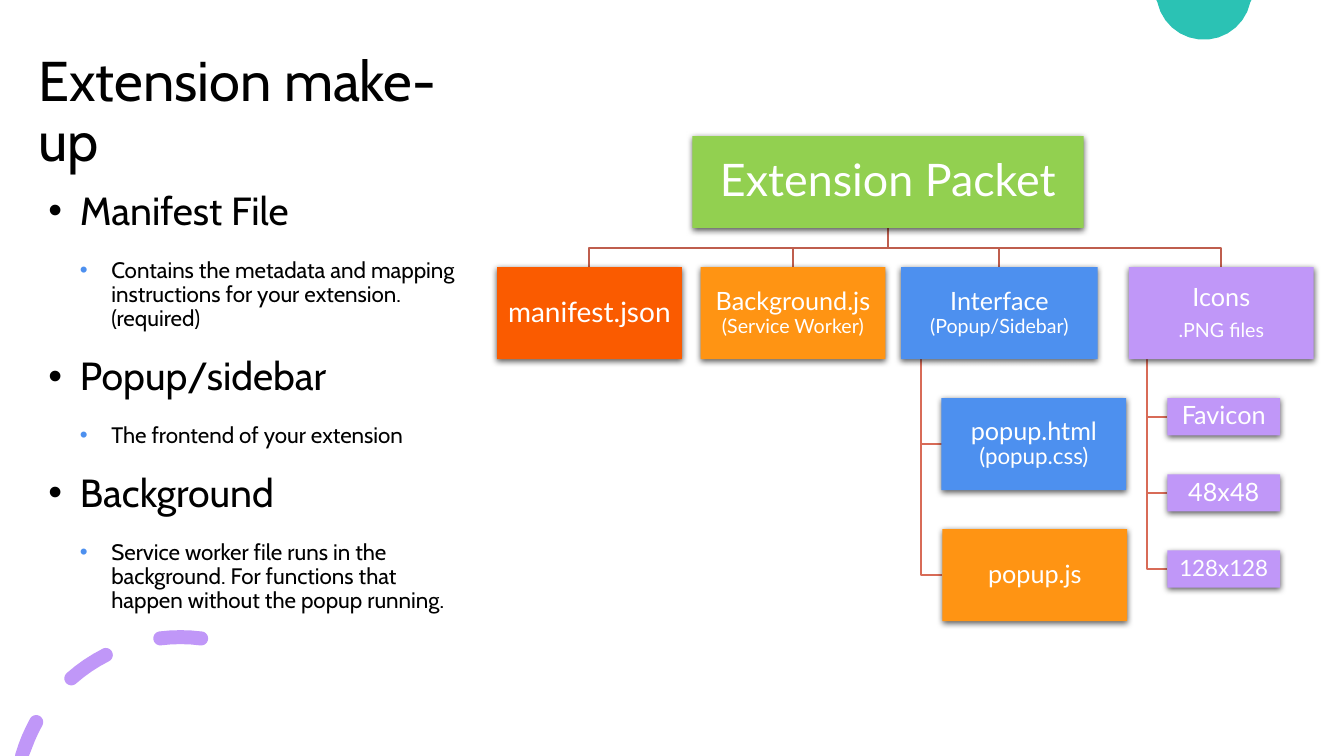
"""Build the slide that explains which files make up a browser extension."""
from dataclasses import dataclass
from math import cos, radians, sin

from lxml.etree import SubElement
from pptx import Presentation
from pptx.dml.color import RGBColor
from pptx.enum.shapes import MSO_SHAPE
from pptx.enum.text import MSO_ANCHOR, MSO_AUTO_SIZE, PP_ALIGN
from pptx.oxml.ns import qn
from pptx.util import Pt

Point = tuple[float, float]
Run = tuple[str, int]

SLIDE_WIDTH, SLIDE_HEIGHT = 960, 540
TOP, ROW_PITCH, BOX_HEIGHT, BOX_WIDTH = 97.2, 93.6, 65.7, 132
ICON_PITCH, ICON_HEIGHT, ICON_WIDTH, ICON_LEFT = 54.4, 26.6, 80.6, 833.8
GREEN, RED, ORANGE, BLUE, PURPLE = "92D050", "FA5B00", "FF9413", "4D90EF", "C097F8"
BLACK, WHITE, TEAL = "000000", "FFFFFF", "2BC2B4"
BUS_COLOR, BRANCH_COLOR = "BF5E4D", "D86B57"
BODY_FONT, CHART_FONT = "Cabin", "Lato"


@dataclass(frozen=True)
class Box:
    left: float
    top: float
    color: str
    paragraphs: tuple[tuple[Run, ...], ...]
    width: float = BOX_WIDTH
    height: float = BOX_HEIGHT
    inset: float = 0.7

    @property
    def center(self) -> float:
        return self.left + self.width / 2

    @property
    def middle(self) -> float:
        return self.top + self.height / 2

    @property
    def bottom(self) -> float:
        return self.top + self.height


@dataclass(frozen=True)
class Topic:
    heading: str
    detail: str


def row_top(row: int) -> float:
    return TOP + row * ROW_PITCH


PACKET = Box(494.6, row_top(0), GREEN, ((("Extension Packet", 32),),), 279.4, inset=1.4)
MANIFEST = Box(355, row_top(1), RED, ((("manifest.json", 20),),))
BACKGROUND = Box(500.4, row_top(1), ORANGE, ((("Background.js ", 18), ("(Service Worker)", 14)),))
INTERFACE = Box(643.7, row_top(1), BLUE, ((("Interface ", 18), ("(Popup/Sidebar)", 14)),), 140.4)
ICONS = Box(806.4, row_top(1), PURPLE, ((("Icons", 18),), ((".PNG files", 14),)))
POPUP_FILES = [
    Box(672.5, row_top(2), BLUE, ((("popup.html ", 18), ("(popup.css)", 16)),)),
    Box(673.2, row_top(3), ORANGE, ((("popup.js", 18),),)),
]
ICON_FILES = [
    Box(ICON_LEFT, row_top(2) + i * ICON_PITCH, PURPLE, ((label,),), ICON_WIDTH, ICON_HEIGHT)
    for i, label in enumerate([("Favicon", 18), ("48x48", 18), ("128x128", 16)])
]
PARTS = [MANIFEST, BACKGROUND, INTERFACE, ICONS]
BRANCHES = [(ICONS, ICON_FILES), (INTERFACE, POPUP_FILES)]

TOPICS = [
    Topic("Manifest File",
          "Contains the metadata and mapping instructions for your extension. (required)"),
    Topic("Popup/sidebar", "The frontend of your extension"),
    Topic("Background",
          "Service worker file runs in the background. "
          "For functions that happen without the popup running."),
]

RING_CENTER, RING_RADIUS, DASH_RADIUS = (128.9, 572.9), 117.8, 5
DASH_ANGLES = [(-73.7, -61), (-41.4, -26.9), (-7, 7.2)]
DISC_CENTER, DISC_RADIUS = (859.9, -5.6), 34


def rgb(color: str) -> RGBColor:
    return RGBColor.from_string(color)


def add_run(paragraph, text: str, size: float, font: str, color: str) -> None:
    run = paragraph.add_run()
    run.text = text
    run.font.size = Pt(size)
    run.font.name = font
    run.font.color.rgb = rgb(color)


def next_paragraph(frame, index: int):
    paragraph = frame.add_paragraph() if index else frame.paragraphs[0]
    paragraph.line_spacing = 0.9
    return paragraph


def on_circle(center: Point, radius: float, angle: float) -> Point:
    turn = radians(angle)
    return center[0] + radius * sin(turn), center[1] - radius * cos(turn)


def arc(center: Point, radius: float, start: float, end: float) -> list[Point]:
    """Return points along an arc, with angles in degrees clockwise from the top."""
    steps = max(4, round(abs(end - start) / 12))
    return [on_circle(center, radius, start + (end - start) * i / steps)
            for i in range(steps + 1)]


def dash_outline(start: float, end: float) -> list[Point]:
    """Return the outline of a round-ended dash lying on the ring."""
    head, tail = (on_circle(RING_CENTER, RING_RADIUS, angle) for angle in (end, start))
    return (arc(RING_CENTER, RING_RADIUS + DASH_RADIUS, start, end)
            + arc(head, DASH_RADIUS, end, end + 180)
            + arc(RING_CENTER, RING_RADIUS - DASH_RADIUS, end, start)
            + arc(tail, DASH_RADIUS, start + 180, start + 360))


def add_outline(slide, contours: list[list[Point]], close: bool):
    scaled = [[(Pt(x), Pt(y)) for x, y in contour] for contour in contours]
    builder = slide.shapes.build_freeform(*scaled[0][0])
    for index, contour in enumerate(scaled):
        if index:
            builder.move_to(*contour[0])
        builder.add_line_segments(contour[1:], close=close)
    shape = builder.convert_to_shape()
    shape.shadow.inherit = False
    return shape


def add_decoration(slide, contours: list[list[Point]], color: str) -> None:
    """Fill the contours, cut off at the top and bottom of the slide."""
    visible = [[(x, min(max(y, 0), SLIDE_HEIGHT)) for x, y in contour] for contour in contours]
    shape = add_outline(slide, visible, close=True)
    shape.fill.solid()
    shape.fill.fore_color.rgb = rgb(color)
    shape.line.fill.background()


def add_branch(slide, points: list[Point], color: str) -> None:
    shape = add_outline(slide, [points], close=False)
    shape.fill.background()
    shape.line.color.rgb = rgb(color)
    shape.line.width = Pt(1.5)


def add_shadow(shape) -> None:
    shape.shadow.inherit = False
    effects = shape.element.spPr.find(qn("a:effectLst"))
    shadow = SubElement(effects, qn("a:outerShdw"), blurRad=str(Pt(4.5)), dist=str(Pt(1.5)),
                        dir="5400000", algn="ctr", rotWithShape="0")
    SubElement(SubElement(shadow, qn("a:srgbClr"), val=BLACK), qn("a:alpha"), val="63000")


def add_box(slide, box: Box) -> None:
    shape = slide.shapes.add_shape(MSO_SHAPE.RECTANGLE, Pt(box.left), Pt(box.top),
                                   Pt(box.width), Pt(box.height))
    shape.fill.solid()
    shape.fill.fore_color.rgb = rgb(box.color)
    shape.line.fill.background()
    add_shadow(shape)
    frame = shape.text_frame
    frame.word_wrap = True
    frame.vertical_anchor = MSO_ANCHOR.MIDDLE
    frame.margin_left = frame.margin_right = frame.margin_top = frame.margin_bottom = Pt(box.inset)
    for index, runs in enumerate(box.paragraphs):
        paragraph = next_paragraph(frame, index)
        paragraph.alignment = PP_ALIGN.CENTER
        paragraph.space_before = Pt(6 if index else 0)
        for text, size in runs:
            add_run(paragraph, text, size, CHART_FONT, WHITE)


def add_tree(slide) -> None:
    for parent, children in BRANCHES:
        stem = parent.left + parent.width / 10
        for child in children:
            add_branch(slide, [(stem, parent.bottom), (stem, child.middle),
                               (child.left, child.middle)], BRANCH_COLOR)
    for part in PARTS:
        bus = (PACKET.bottom + part.top) / 2
        add_branch(slide, [(PACKET.center, PACKET.bottom), (PACKET.center, bus),
                           (part.center, bus), (part.center, part.top)], BUS_COLOR)
    for box in [PACKET, *PARTS, *POPUP_FILES, *ICON_FILES]:
        add_box(slide, box)


def add_title(slide, text: str) -> None:
    title = slide.shapes.title
    title.left, title.top, title.width, title.height = Pt(20.2), Pt(28.8), Pt(313.2), Pt(104.4)
    frame = title.text_frame
    frame.word_wrap = True
    frame.auto_size = MSO_AUTO_SIZE.NONE
    frame.vertical_anchor = MSO_ANCHOR.MIDDLE
    paragraph = next_paragraph(frame, 0)
    paragraph.alignment = PP_ALIGN.LEFT
    add_run(paragraph, text, 40, BODY_FONT, BLACK)


def add_topics(slide) -> None:
    frame = slide.shapes.add_textbox(Pt(27.4), Pt(133.2), Pt(313.2), Pt(349.2)).text_frame
    frame.word_wrap = True
    lines = [line for topic in TOPICS
             for line in ((topic.heading, 28, 0, BLACK), (topic.detail, 16, 1, BLUE))]
    for index, (text, size, level, bullet_color) in enumerate(lines):
        paragraph = next_paragraph(frame, index)
        paragraph.level = level
        paragraph.space_before = Pt(10 if index else 0)
        paragraph.space_after = Pt(8)
        properties = paragraph._p.get_or_add_pPr()
        properties.set("marL", str(Pt(22.5 * (level + 1))))
        properties.set("indent", str(-Pt(22.5)))
        SubElement(SubElement(properties, qn("a:buClr")), qn("a:srgbClr"), val=bullet_color)
        SubElement(properties, qn("a:buFont"), typeface="Arial")
        SubElement(properties, qn("a:buChar"), char="•")
        add_run(paragraph, text, size, BODY_FONT, BLACK)


def main() -> None:
    deck = Presentation()
    deck.slide_width, deck.slide_height = Pt(SLIDE_WIDTH), Pt(SLIDE_HEIGHT)
    slide = deck.slides.add_slide(deck.slide_layouts[5])
    add_decoration(slide, [dash_outline(*angles) for angles in DASH_ANGLES], PURPLE)
    add_decoration(slide, [arc(DISC_CENTER, DISC_RADIUS, 90, 270)], TEAL)
    add_title(slide, "Extension make-up")
    add_topics(slide)
    add_tree(slide)
    deck.save("out.pptx")


if __name__ == "__main__":
    main()
